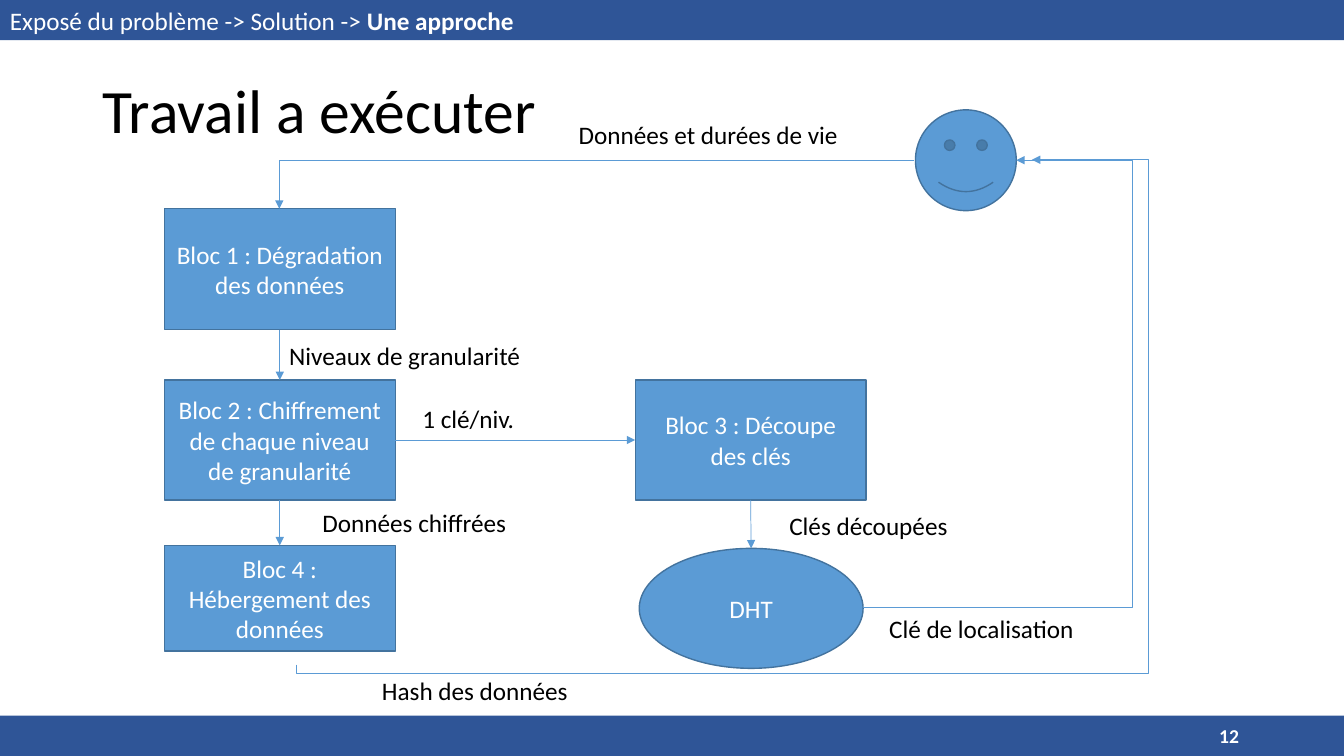
"""Build the slide "Travail a exécuter": a flow of blocks between a user and a DHT."""
from pptx import Presentation
from pptx.dml.color import RGBColor
from pptx.enum.shapes import MSO_CONNECTOR, MSO_SHAPE
from pptx.enum.text import MSO_ANCHOR, MSO_AUTO_SIZE, PP_ALIGN
from pptx.oxml.ns import qn
from pptx.util import Inches, Pt
from lxml import etree

RECT, OVAL, SMILEY = MSO_SHAPE.RECTANGLE, MSO_SHAPE.OVAL, MSO_SHAPE.SMILEY_FACE
STRAIGHT, ELBOW = MSO_CONNECTOR.STRAIGHT, MSO_CONNECTOR.ELBOW
MIDDLE = MSO_ANCHOR.MIDDLE
CENTER, RIGHT = PP_ALIGN.CENTER, PP_ALIGN.RIGHT
TOP, LEFT, BOTTOM, RIGHT_SIDE = range(4)
FONT = "Calibri"
COLORS = {"bar": "2F5597", "block": "5B9BD5", "border": "43739E",
          "white": "FFFFFF", "black": "000000"}


def style_text(p, size, color):
    p.font.name = FONT
    p.font.size = Pt(size)
    p.font.color.rgb = RGBColor.from_string(COLORS[color])


def style_arrow(c):
    c.line.color.rgb = RGBColor.from_string(COLORS["block"])
    c.line.width = Pt(0.5)
    ln = c.line._get_or_add_ln()
    etree.SubElement(ln, qn("a:tailEnd"), type="triangle")
    etree.SubElement(c._element.spPr, qn("a:effectLst"))


prs = Presentation()
prs.slide_width, prs.slide_height = Inches(13.33), Inches(7.5)
s = prs.slides.add_slide(prs.slide_layouts[6])

for x, y, w in [(-0.03, 7.1, 13.36), (0, 0, 13.33)]:
    bar = s.shapes.add_shape(RECT, Inches(x), Inches(y), Inches(w), Inches(0.4))
    bar.shadow.inherit = False
    bar.fill.solid()
    bar.fill.fore_color.rgb = RGBColor.from_string(COLORS["bar"])
    bar.line.fill.background()

title = s.shapes.add_textbox(Inches(0.92), Inches(0.4), Inches(11.5), Inches(1.45))
tf = title.text_frame
tf.word_wrap = True
tf.vertical_anchor = MIDDLE
p = tf.paragraphs[0]
p.text = "Travail a exécuter"
p.line_spacing = 0.9
style_text(p, 44, "black")

blocks = {}
for name, kind, x, y, w, h, text in [
    ("bloc1", RECT, 1.63, 2.07, 2.29, 1.2, "Bloc 1 : Dégradation des données"),
    ("bloc2", RECT, 1.63, 3.77, 2.29, 1.19,
     "Bloc 2 : Chiffrement de chaque niveau de granularité"),
    ("bloc3", RECT, 6.3, 3.77, 2.29, 1.19, "Bloc 3 : Découpe des clés"),
    ("bloc4", RECT, 1.63, 5.41, 2.29, 1.05, "Bloc 4 : Hébergement des données"),
    ("dht", OVAL, 6.34, 5.44, 2.22, 1.19, "DHT"),
    ("user", SMILEY, 9.08, 1.09, 1, 1, ""),
]:
    sp = s.shapes.add_shape(kind, Inches(x), Inches(y), Inches(w), Inches(h))
    sp.shadow.inherit = False
    sp.fill.solid()
    sp.fill.fore_color.rgb = RGBColor.from_string(COLORS["block"])
    sp.line.color.rgb = RGBColor.from_string(COLORS["border"])
    sp.line.width = Pt(1)
    blocks[name] = sp
    if text:
        tf = sp.text_frame
        tf.word_wrap = True
        tf.vertical_anchor = MIDDLE
        p = tf.paragraphs[0]
        p.text = text
        p.alignment = CENTER
        style_text(p, 18, "white")

for start, start_side, end, end_side in [
    ("bloc1", BOTTOM, "bloc2", TOP),
    ("bloc2", BOTTOM, "bloc4", TOP),
    ("bloc2", RIGHT_SIDE, "bloc3", LEFT),
    ("bloc3", BOTTOM, "dht", TOP),
]:
    c = s.shapes.add_connector(STRAIGHT, 0, 0, 0, 0)
    c.begin_connect(blocks[start], start_side)
    c.end_connect(blocks[end], end_side)
    style_arrow(c)

for x, y, w, h, preset, rotation, flips, adjustments in [
    (8.56, 1.59, 1.52, 4.44, "bentConnector3", 0, ["flipV"], [175800]),
    (4.08, 0.44, 5.01, 7.3, "bentConnector4", 90, ["flipH", "flipV"], [-1800, 115800]),
    (2.77, 1.59, 6.3, 0.48, "bentConnector2", 180, ["flipV"], []),
]:
    c = s.shapes.add_connector(ELBOW, Inches(x), Inches(y), Inches(x + w), Inches(y + h))
    xfrm = c._element.spPr.find(qn("a:xfrm"))
    xfrm.set("rot", str(rotation * 60000))
    for flip in flips:
        xfrm.set(flip, "1")
    geom = c._element.spPr.find(qn("a:prstGeom"))
    geom.set("prst", preset)
    guides = geom.find(qn("a:avLst"))
    for i, value in enumerate(adjustments, 1):
        etree.SubElement(guides, qn("a:gd"), name=f"adj{i}", fmla=f"val {value}")
    style_arrow(c)

for x, y, w, color, parts in [
    (3.1, 4.98, 2.05, "black", ["Données chiffrées"]),
    (2.77, 3.33, 2.52, "black", ["Niveaux de granularité"]),
    (4.09, 3.95, 1.12, "black", ["1 clé/niv."]),
    (7.73, 5.01, 1.79, "black", ["Clés découpées"]),
    (8.72, 6.04, 2.05, "black", ["Clé de localisation"]),
    (3.69, 6.65, 2.07, "black", ["Hash des données"]),
    (5.64, 1.13, 2.81, "black", ["Données et durées de vie"]),
    (0, 0, 5.25, "white", ["Exposé du problème -> Solution -> ", "Une approche"]),
]:
    label = s.shapes.add_textbox(Inches(x), Inches(y), Inches(w), Inches(0.4))
    tf = label.text_frame
    tf.word_wrap = False
    tf.auto_size = MSO_AUTO_SIZE.SHAPE_TO_FIT_TEXT
    p = tf.paragraphs[0]
    style_text(p, 18, color)
    for i, part in enumerate(parts):
        r = p.add_run()
        r.text = part
        if i:
            r.font.bold = True

number = s.shapes.add_textbox(0, Inches(7.1), Inches(13.33), Inches(0.4))
tf = number.text_frame
tf.word_wrap = True
tf.vertical_anchor = MIDDLE
tf.margin_right = Inches(1.04)
p = tf.paragraphs[0]
p.text = "12"
p.alignment = RIGHT
p.font.bold = True
style_text(p, 14, "white")

prs.save("out.pptx")
